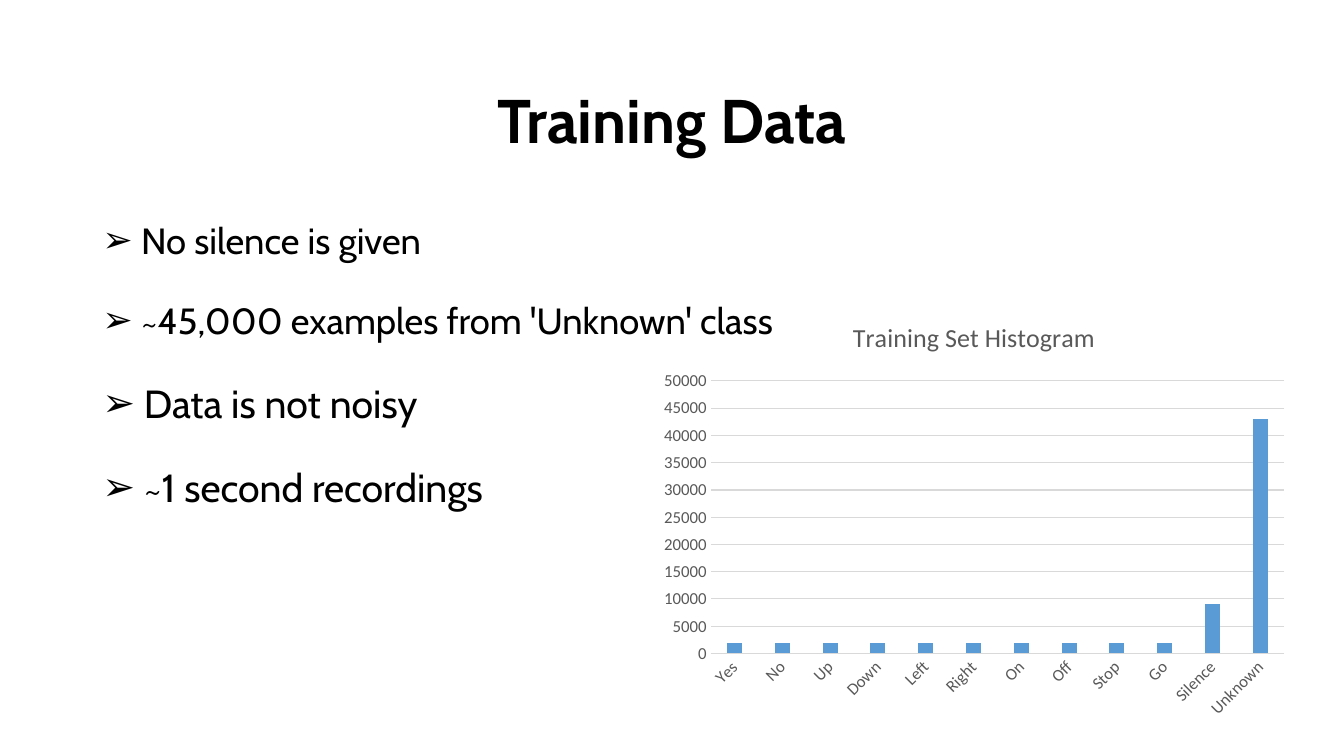
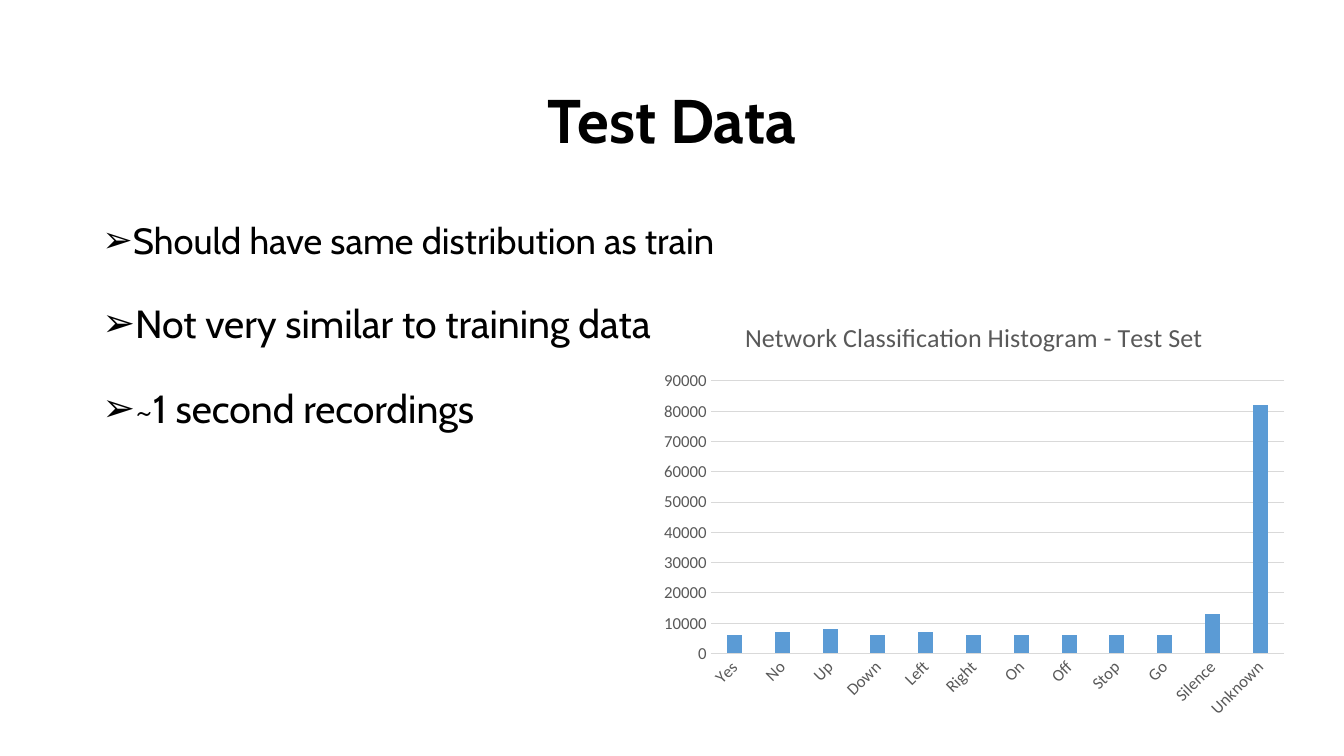
from dataclasses import dataclass

from lxml.etree import SubElement
from pptx import Presentation
from pptx.chart.data import CategoryChartData
from pptx.dml.color import RGBColor
from pptx.enum.chart import XL_CHART_TYPE, XL_TICK_MARK
from pptx.enum.text import MSO_ANCHOR, MSO_AUTO_SIZE, PP_ALIGN
from pptx.oxml.ns import qn
from pptx.util import Cm, Pt


@dataclass(frozen=True)
class Theme:
    paper: RGBColor = RGBColor(0xFF, 0xFF, 0xFF)
    ink: RGBColor = RGBColor(0x00, 0x00, 0x00)
    label: RGBColor = RGBColor(0x59, 0x59, 0x59)
    grid: RGBColor = RGBColor(0xD9, 0xD9, 0xD9)
    bar: RGBColor = RGBColor(0x5B, 0x9B, 0xD5)
    text_font: str = "Cabin"
    chart_font: str = "Calibri"
    title_size: float = 44
    small_body: float = 26
    large_body: float = 28
    chart_title_size: float = 18.6
    axis_size: float = 12


THEME = Theme()
LEFT, WIDTH = Cm(2.33), Cm(29.21)
CLASSES = ["Yes", "No", "Up", "Down", "Left", "Right", "On", "Off",
           "Stop", "Go", "Silence", "Unknown"]


def format_font(font, name, size, color, bold=False):
    font.name, font.size, font.bold = name, Pt(size), bold
    font.color.rgb = color


def write(p, text, *, size, font=THEME.text_font, color=THEME.ink, bold=False,
          align=None, spacing=None, before=None):
    r = p.add_run()
    r.text = text
    format_font(r.font, font, size, color, bold)
    p.alignment, p.line_spacing = align, spacing
    if before is not None:
        p.space_before = Pt(before)


def add_bullet(p, char, indent):
    pPr = p._p.get_or_add_pPr()
    pPr.set("marL", str(indent))
    pPr.set("indent", str(-indent))
    SubElement(pPr, qn("a:buFont"), typeface="Arial")
    SubElement(pPr, qn("a:buChar"), char=char)


class Deck:
    def __init__(self, theme):
        self.theme = theme
        self.prs = Presentation()
        self.prs.slide_width, self.prs.slide_height = Cm(33.87), Cm(19.05)
        self.s = None

    def add_slide(self, title, filled=False):
        self.s = self.prs.slides.add_slide(self.prs.slide_layouts[5])
        sp = self.s.shapes.title
        sp.left, sp.top, sp.width, sp.height = LEFT, Cm(1.27), WIDTH, Cm(3.68)
        if filled:
            sp.fill.solid()
            sp.fill.fore_color.rgb = self.theme.paper
        tf = sp.text_frame
        tf.vertical_anchor = MSO_ANCHOR.MIDDLE
        tf.auto_size = MSO_AUTO_SIZE.NONE
        write(tf.paragraphs[0], title, size=self.theme.title_size, bold=True,
              align=PP_ALIGN.CENTER, spacing=0.9, before=0)

    def add_bullets(self, items):
        tf = self.s.shapes.add_textbox(LEFT, Cm(4.83), WIDTH, Cm(12.09)).text_frame
        tf.word_wrap = True
        for i, (text, size) in enumerate(items):
            p = tf.add_paragraph() if i else tf.paragraphs[0]
            write(p, text, size=size, spacing=1.5, before=10)
            add_bullet(p, "➢", Cm(0.64))

    def add_histogram(self, title, values, top, step):
        th = self.theme
        data = CategoryChartData()
        data.categories = CLASSES
        data.add_series("Series 1", values)
        chart = self.s.shapes.add_chart(
            XL_CHART_TYPE.COLUMN_CLUSTERED,
            Cm(16.41), Cm(7.57), Cm(16.28), Cm(10.74), data).chart
        chart.has_legend = False
        chart.font.name = th.chart_font
        write(chart.chart_title.text_frame.paragraphs[0], title,
              size=th.chart_title_size, font=th.chart_font, color=th.label)
        chart.chart_title.include_in_layout = False

        plot = chart.plots[0]
        plot.gap_width, plot.overlap, plot.vary_by_categories = 219, -27, False
        fill = plot.series[0].format.fill
        fill.solid()
        fill.fore_color.rgb = th.bar

        for axis in (chart.category_axis, chart.value_axis):
            axis.major_tick_mark = axis.minor_tick_mark = XL_TICK_MARK.NONE
            format_font(axis.tick_labels.font, th.chart_font, th.axis_size, th.label)
        chart.category_axis._element.txPr.find(qn("a:bodyPr")).set("rot", "-2700000")

        value_axis = chart.value_axis
        value_axis.minimum_scale, value_axis.maximum_scale = 0, top
        value_axis.major_unit = step
        value_axis.format.line.fill.background()
        for line in (chart.category_axis.format.line,
                     value_axis.major_gridlines.format.line):
            line.color.rgb, line.width = th.grid, Pt(0.75)


def main():
    deck = Deck(THEME)
    small, large = THEME.small_body, THEME.large_body

    deck.add_slide("Training Data")
    deck.add_bullets([(" No silence is given", small),
                      (" ~45,000 examples from 'Unknown' class", small),
                      (" Data is not noisy", large),
                      (" ~1 second recordings", large)])
    deck.add_histogram("Training Set Histogram",
                       [2000] * 10 + [9000, 43000], top=50000, step=5000)

    deck.add_slide("Test Data", filled=True)
    deck.add_bullets([("Should have same distribution as train", small),
                      ("Not very similar to training data", large),
                      ("~1 second recordings", large)])
    deck.add_histogram("Network Classification Histogram - Test Set",
                       [6000, 7000, 8000, 6000, 7000, 6000, 6000, 6000, 6000,
                        6000, 13000, 82000], top=90000, step=10000)

    deck.prs.save("out.pptx")


if __name__ == "__main__":
    main()
